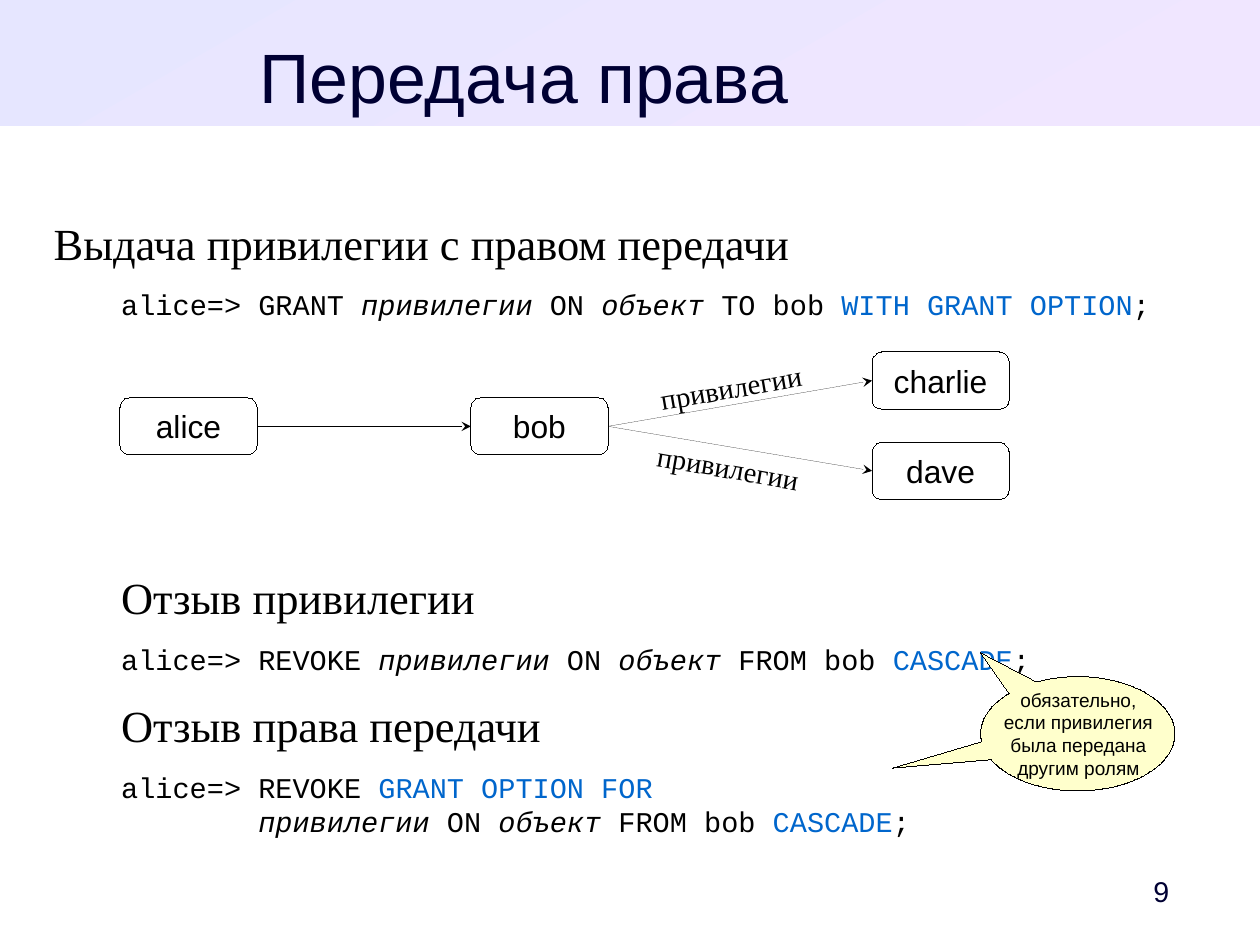
from dataclasses import dataclass
from math import cos, radians, sin

from lxml.etree import SubElement
from pptx import Presentation
from pptx.dml.color import RGBColor
from pptx.enum.shapes import MSO_CONNECTOR, MSO_SHAPE
from pptx.enum.text import MSO_ANCHOR, MSO_AUTO_SIZE, PP_ALIGN
from pptx.oxml.ns import qn
from pptx.util import Inches, Pt


@dataclass(frozen=True)
class Theme:
    sans: str = "Arial"
    serif: str = "Times New Roman"
    mono: str = "Courier New"
    ink: str = "000000"
    navy: str = "000033"
    blue: str = "0066CC"
    white: str = "FFFFFF"
    yellow: str = "FFFFCC"
    band: tuple = ("E6E6FF", "F0E6FF")
    title: int = 44
    heading: int = 28
    node: int = 20
    body: int = 18
    note: int = 12


T = Theme()
CM_PER_INCH = 2.54
PLAIN, ITALIC, BLUE = {}, {"italic": True}, {"color": T.blue}
VERB, OBJECT, CASCADE = "привилегии", "объект", "CASCADE"

GRANT = [("Выдача привилегии с правом передачи", [[
    ("alice", PLAIN), ("=>", ITALIC), (" GRANT ", PLAIN), (VERB, ITALIC),
    (" ON ", PLAIN), (OBJECT, ITALIC), (" TO bob ", PLAIN),
    ("WITH GRANT OPTION", BLUE), (";", PLAIN)]])]
TARGET = [(" ON ", PLAIN), (OBJECT, ITALIC), (" FROM bob ", PLAIN),
          (CASCADE, BLUE), (";", PLAIN)]
REVOKE = [
    ("Отзыв привилегии",
     [[("alice=> REVOKE ", PLAIN), (VERB, ITALIC), *TARGET]]),
    ("Отзыв права передачи",
     [[("alice=> REVOKE ", PLAIN), ("GRANT OPTION FOR", BLUE)],
      [("        ", PLAIN), (VERB, ITALIC), *TARGET]]),
]


def add_run(p, text, name, size, color=T.ink, italic=False):
    r = p.add_run()
    r.text = text
    for key, value in {"name": name, "size": Pt(size), "italic": italic}.items():
        setattr(r.font, key, value)
    r.font.color.rgb = RGBColor.from_string(color)


def set_frame(tf, margins=(0, 0, 0, 0), wrap=True, anchor=MSO_ANCHOR.TOP):
    """Margins are left, top, right, bottom in inches."""
    left, top, right, bottom = map(Inches, margins)
    values = {"margin_left": left, "margin_top": top, "margin_right": right,
              "margin_bottom": bottom, "word_wrap": wrap,
              "vertical_anchor": anchor, "auto_size": MSO_AUTO_SIZE.NONE}
    for key, value in values.items():
        setattr(tf, key, value)


def set_hairline(line):
    """A width of zero must be written out, or the theme width applies."""
    line.color.rgb = RGBColor.from_string(T.ink)
    ln = line._get_or_add_ln()
    ln.set("w", "0")
    return ln


def outline(sp, fill):
    sp.shadow.inherit = False
    sp.fill.solid()
    sp.fill.fore_color.rgb = RGBColor.from_string(fill)
    set_hairline(sp.line)


def add_header(s, width, height):
    title = s.shapes.title
    band = s.shapes.add_shape(MSO_SHAPE.RECTANGLE, 0, 0, width, Inches(height))
    band.shadow.inherit = False
    band.line.fill.background()
    band.fill.gradient()
    band.fill.gradient_angle = 300
    for stop, position, color in zip(band.fill.gradient_stops, (0, 1), T.band):
        stop.position = position
        stop.color.rgb = RGBColor.from_string(color)
    title.element.addprevious(band.element)

    title.left, title.top = Inches(0.47), Inches(0.29)
    title.width, title.height = Inches(8.23), Inches(0.69)
    set_frame(title.text_frame)
    p = title.text_frame.paragraphs[0]
    p.alignment = PP_ALIGN.CENTER
    add_run(p, "Передача права", T.sans, T.title, T.navy)


def add_statements(s, box, sections, code_indent=0):
    """Headings, each followed by a command of one or more lines."""
    tf = s.shapes.add_textbox(*map(Inches, box)).text_frame
    set_frame(tf)
    for index, (heading, lines) in enumerate(sections):
        p = tf.add_paragraph() if index else tf.paragraphs[0]
        p.space_after = Pt(11.3)
        add_run(p, heading, T.serif, T.heading)
        p = tf.add_paragraph()
        p.space_after = Pt(14.2)
        p._p.get_or_add_pPr().set("marL", str(Inches(code_indent)))
        for number, line in enumerate(lines):
            if number:
                p.add_line_break()
            for text, style in line:
                add_run(p, text, T.mono, T.body, **style)


def add_node(s, name, left, top):
    sp = s.shapes.add_shape(MSO_SHAPE.ROUNDED_RECTANGLE, Inches(left),
                            Inches(top), Inches(1.2), Inches(0.5))
    outline(sp, T.white)
    set_frame(sp.text_frame, (0.1, 0.05, 0.1, 0.05), False, MSO_ANCHOR.MIDDLE)
    p = sp.text_frame.paragraphs[0]
    p.alignment = PP_ALIGN.CENTER
    add_run(p, name, T.sans, T.node)
    return sp


def add_arrow(s, source, target):
    arrow = s.shapes.add_connector(MSO_CONNECTOR.STRAIGHT, 0, 0, 0, 0)
    arrow.begin_connect(source, 3)
    arrow.end_connect(target, 1)
    SubElement(set_hairline(arrow.line), qn("a:tailEnd"), type="stealth")
    SubElement(arrow.element.spPr, qn("a:effectLst"))


def add_grant_diagram(s, left, top):
    places = {"alice": (0, 0.4), "bob": (3.07, 0.4),
              "charlie": (6.58, 0), "dave": (6.58, 0.79)}
    nodes = {name: add_node(s, name, left + x, top + y)
             for name, (x, y) in places.items()}
    for source, target in (("alice", "bob"), ("bob", "charlie"), ("bob", "dave")):
        add_arrow(s, nodes[source], nodes[target])
    for x, y, angle in ((4.62, 0.11, -9.9), (4.6, 0.81, 9.9)):
        label = s.shapes.add_textbox(Inches(left + x), Inches(top + y),
                                     Inches(1.45), Inches(0.38))
        label.rotation = angle
        set_frame(label.text_frame, (0.1, 0.05, 0.1, 0.05), False)
        add_run(label.text_frame.paragraphs[0], VERB, T.serif, T.body)


def add_two_tailed_note(s, left, top, width, height, lines):
    """An oval in the given box with tails to both CASCADE words."""
    rx, ry = width / 2, height / 2
    cx, cy = left + rx, top + ry

    def arc(start, end):
        return [(cx + rx * cos(radians(a)), cy + ry * sin(radians(a)))
                for a in range(start, end + 1)]

    upper_tip, lower_tip = (left, top - 0.21), (left - 0.77, top + 0.8)
    points = [*arc(245, 513), lower_tip, *arc(172, 225), upper_tip]
    points = [(Inches(x), Inches(y)) for x, y in points]
    builder = s.shapes.build_freeform(*points[0])
    builder.add_line_segments(points[1:], close=True)
    sp = builder.convert_to_shape()
    outline(sp, T.yellow)
    tf = sp.text_frame
    set_frame(tf, (0.88, 0.26, 0.1, 0.05), anchor=MSO_ANCHOR.MIDDLE)
    for index, text in enumerate(lines):
        p = tf.add_paragraph() if index else tf.paragraphs[0]
        p.alignment = PP_ALIGN.CENTER
        add_run(p, text, T.sans, T.note)


def add_page_number(s, box, number):
    tf = s.shapes.add_textbox(*map(Inches, box)).text_frame
    set_frame(tf, (0.1, 0.05, 0.33, 0.05), anchor=MSO_ANCHOR.MIDDLE)
    p = tf.paragraphs[0]
    p.alignment = PP_ALIGN.RIGHT
    add_run(p, number, T.sans, T.body, T.navy)


def main():
    prs = Presentation()
    prs.slide_width = Inches(28 / CM_PER_INCH)
    prs.slide_height = Inches(21 / CM_PER_INCH)
    s = prs.slides.add_slide(prs.slide_layouts[5])
    add_header(s, prs.slide_width, 1.1)
    add_statements(s, (0.47, 1.89, 10.08, 1), GRANT, code_indent=0.59)
    add_statements(s, (1.06, 4.99, 9.49, 2.5), REVOKE)
    add_grant_diagram(s, 1.05, 3.08)
    add_two_tailed_note(s, 8.58, 5.92, 1.7, 1, (
        "обязательно,", "если привилегия", "была передана", "другим ролям"))
    add_page_number(s, (9.69, 7.56, 0.87, 0.47), "9")
    prs.save("out.pptx")


if __name__ == "__main__":
    main()
